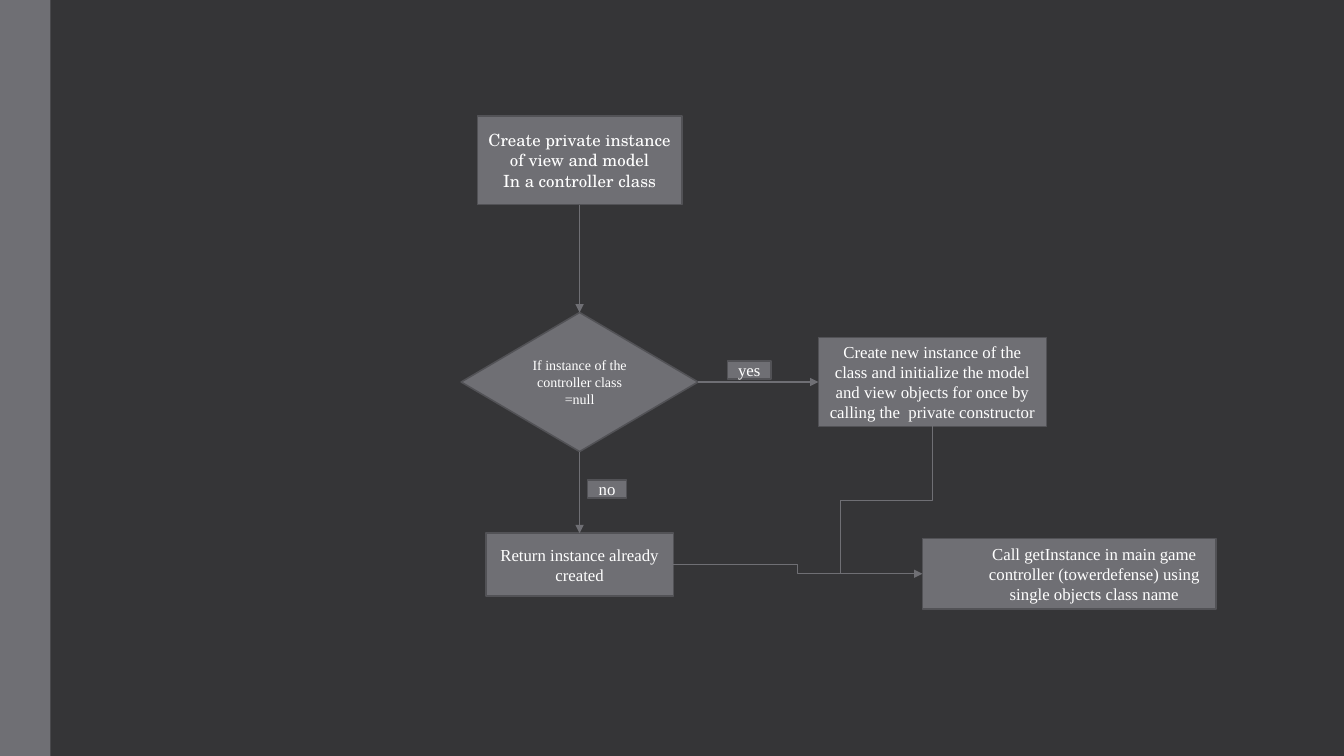
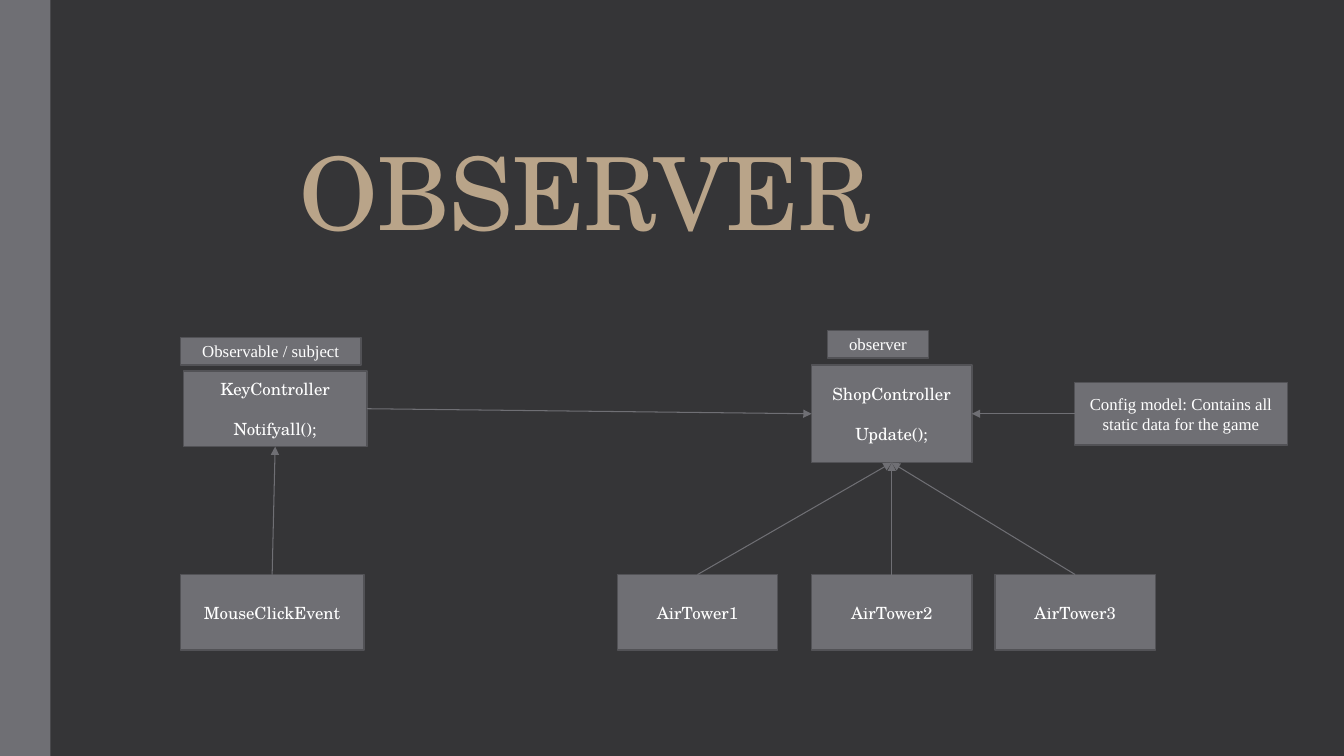
import dataclasses

import lxml.etree
import pptx
import pptx.dml.color
import pptx.enum.shapes
import pptx.enum.text
import pptx.oxml.ns
import pptx.presentation
import pptx.shapes.autoshape
import pptx.shapes.connector
import pptx.slide
import pptx.util

# Shared look
BACKDROP = pptx.dml.color.RGBColor(0x35, 0x35, 0x37)
STEEL = pptx.dml.color.RGBColor(0x6F, 0x6F, 0x74)
OUTLINE = pptx.dml.color.RGBColor(0x52, 0x52, 0x56)
WHITE = pptx.dml.color.RGBColor(0xFF, 0xFF, 0xFF)
SAND = pptx.dml.color.RGBColor(0xB9, 0xA4, 0x89)
SCHOLA = "TeX Gyre Schola"
TIMES = "Times New Roman"

# Grid of 40 columns and 30 rows
WIDTH = pptx.util.Inches(13.33)
HEIGHT = pptx.util.Inches(7.5)
COLUMN = WIDTH / 40
ROW = HEIGHT / 30
BAND_COLUMNS = 1.5

SHAPES = pptx.enum.shapes.MSO_SHAPE
LINES = pptx.enum.shapes.MSO_CONNECTOR
CENTER = pptx.enum.text.PP_ALIGN.CENTER

# Connection sites of a block
TOP, LEFT, BOTTOM, RIGHT = range(4)


@dataclasses.dataclass(frozen=True)
class Area:
    """A rectangle on the grid, given by its centre and size."""
    column: float
    row: float
    columns: float
    rows: float

    def box(self) -> tuple[int, int, int, int]:
        return (round((self.column - self.columns / 2) * COLUMN),
                round((self.row - self.rows / 2) * ROW),
                round(self.columns * COLUMN), round(self.rows * ROW))


@dataclasses.dataclass(frozen=True)
class Block:
    text: str
    area: Area
    font: str = TIMES
    size: float = 12
    preset: SHAPES = SHAPES.RECTANGLE
    paragraph_gap: float = 0
    indent: float = 0


@dataclasses.dataclass(frozen=True)
class Arrow:
    start: str
    start_site: int
    end: str
    end_site: int
    route: LINES = LINES.STRAIGHT


def style_paragraph(paragraph, font: str, size: float,
                    color: pptx.dml.color.RGBColor) -> None:
    paragraph.alignment = CENTER
    for run in paragraph.runs:
        run.font.name = font
        run.font.size = pptx.util.Pt(size)
        run.font.color.rgb = color


def draw_block(slide: pptx.slide.Slide,
               block: Block) -> pptx.shapes.autoshape.Shape:
    drawn = slide.shapes.add_shape(block.preset, *block.area.box())
    drawn.shadow.inherit = False
    drawn.fill.solid()
    drawn.fill.fore_color.rgb = STEEL
    drawn.line.color.rgb = OUTLINE
    drawn.line.width = pptx.util.Pt(1.1)
    frame = drawn.text_frame
    frame.text = block.text
    frame.word_wrap = True
    frame.vertical_anchor = pptx.enum.text.MSO_ANCHOR.MIDDLE
    frame.margin_left += pptx.util.Inches(block.indent)
    for position, paragraph in enumerate(frame.paragraphs):
        style_paragraph(paragraph, block.font, block.size, WHITE)
        if position:
            paragraph.space_before = pptx.util.Pt(block.paragraph_gap)
    return drawn


def style_line(line: pptx.shapes.connector.Connector, arrowhead: bool) -> None:
    line.line.color.rgb = STEEL
    line.line.width = pptx.util.Pt(0.75)
    properties = line.element.spPr
    if arrowhead:
        stroke = properties.find(pptx.oxml.ns.qn("a:ln"))
        lxml.etree.SubElement(stroke, pptx.oxml.ns.qn("a:tailEnd"), type="triangle")
    lxml.etree.SubElement(properties, pptx.oxml.ns.qn("a:effectLst"))


def draw_diagram(slide: pptx.slide.Slide, blocks: dict[str, Block],
                 arrows: list[Arrow]) -> None:
    drawn = {key: draw_block(slide, block) for key, block in blocks.items()}
    for arrow in arrows:
        line = slide.shapes.add_connector(arrow.route, 0, 0, 0, 0)
        line.begin_connect(drawn[arrow.start], arrow.start_site)
        line.end_connect(drawn[arrow.end], arrow.end_site)
        style_line(line, arrowhead=True)


def draw_drop(slide: pptx.slide.Slide, start: Area, end_column: float,
              end_row: float) -> None:
    """Step down and left from the bottom of a block: an elbow turned by 90 degrees."""
    top = (start.row + start.rows / 2) * ROW
    drop = end_row * ROW - top
    shift = (start.column - end_column) * COLUMN
    middle_x = (start.column + end_column) / 2 * COLUMN
    middle_y = top + drop / 2
    line = slide.shapes.add_connector(LINES.ELBOW, 0, 0, 0, 0)
    line.left, line.top = round(middle_x - drop / 2), round(middle_y - shift / 2)
    line.width, line.height = round(drop), round(shift)
    line.element.spPr.find(pptx.oxml.ns.qn("a:xfrm")).set("rot", "5400000")
    style_line(line, arrowhead=False)


def prepare_master(deck: pptx.presentation.Presentation,
                   slide: pptx.slide.Slide) -> None:
    """Give the master its background and side band."""
    master = deck.slide_master
    master.background.fill.solid()
    master.background.fill.fore_color.rgb = BACKDROP
    band = slide.shapes.add_shape(SHAPES.RECTANGLE, 0, 0,
                                  round(BAND_COLUMNS * COLUMN), HEIGHT)
    band.shadow.inherit = False
    band.fill.solid()
    band.fill.fore_color.rgb = STEEL
    band.line.fill.background()
    master.shapes.element.insert(2, band.element)


def set_title(slide: pptx.slide.Slide, text: str, area: Area) -> None:
    title = slide.shapes.title
    title.left, title.top, title.width, title.height = area.box()
    frame = title.text_frame
    frame.text = text
    frame.word_wrap = True
    frame.auto_size = pptx.enum.text.MSO_AUTO_SIZE.NONE
    frame.vertical_anchor = pptx.enum.text.MSO_ANCHOR.BOTTOM
    heading = frame.paragraphs[0]
    heading.line_spacing = 0.85
    style_paragraph(heading, SCHOLA, 72, SAND)
    for properties in title.element.iter(pptx.oxml.ns.qn("a:rPr")):
        properties.set("spc", "-50")


# Slide 1: singleton flow
MAIN_COLUMN = 17.25
CHECK_ROW = 15.16
SINGLETON_BLOCKS = {
    "private": Block("Create private instance of view and model\nIn a controller class",
                     Area(MAIN_COLUMN, 6.36, 6.09, 3.52), font=SCHOLA),
    "check": Block("If instance of the controller class =null",
                   Area(MAIN_COLUMN, CHECK_ROW, 7.05, 5.52), size=10,
                   preset=SHAPES.FLOWCHART_DECISION),
    "new": Block("Create new instance of the class and initialize the model and view "
                 "objects for once by calling the  private constructor",
                 Area(27.75, CHECK_ROW, 6.78, 3.52),
                 preset=SHAPES.FLOWCHART_PROCESS),
    "yes": Block("yes", Area(22.3, 14.68, 1.29, 0.72)),
    "return": Block("Return instance already created",
                    Area(MAIN_COLUMN, 22.4, 5.58, 2.48),
                    preset=SHAPES.FLOWCHART_PROCESS),
    "no": Block("no", Area(18.07, 19.4, 1.17, 0.72)),
    "call": Block("Call getInstance in main game controller (towerdefense) using "
                  "single objects class name",
                  Area(31.82, 22.77, 8.73, 2.8), indent=0.5),
}
SINGLETON_ARROWS = [
    Arrow("private", BOTTOM, "check", TOP),
    Arrow("check", RIGHT, "new", LEFT),
    Arrow("check", BOTTOM, "return", TOP),
    Arrow("return", RIGHT, "call", LEFT, LINES.ELBOW),
]

# Slide 2: observer pattern
SHOP_COLUMN, SHOP_ROW = 26.54, 16.42
EVENT_ROW = 24.3
TOWER_COLUMNS = {"AirTower1": 20.76, "AirTower2": SHOP_COLUMN, "AirTower3": 32}
OBSERVER_BLOCKS = {
    "key": Block("KeyController\nNotifyall();", Area(8.19, 16.22, 5.46, 3),
                 font=SCHOLA, paragraph_gap=14.4),
    "shop": Block("ShopController\nUpdate();", Area(SHOP_COLUMN, SHOP_ROW, 4.77, 3.88),
                  font=SCHOLA, paragraph_gap=14.4),
    "mouse": Block("MouseClickEvent", Area(8.1, EVENT_ROW, 5.46, 3), font=SCHOLA),
    "observer": Block("observer", Area(26.13, 13.66, 3, 1.08)),
    "subject": Block("Observable / subject", Area(8.06, 13.94, 5.37, 1.08)),
    "config": Block("Config model: Contains all static data for the game",
                    Area(35.15, SHOP_ROW, 6.33, 2.48)),
} | {
    tower: Block(tower, Area(column, EVENT_ROW, 4.77, 3), font=SCHOLA)
    for tower, column in TOWER_COLUMNS.items()
}
OBSERVER_ARROWS = [
    Arrow("key", RIGHT, "shop", LEFT),
    Arrow("mouse", TOP, "key", BOTTOM),
    Arrow("config", LEFT, "shop", RIGHT),
] + [Arrow(tower, TOP, "shop", BOTTOM) for tower in TOWER_COLUMNS]


def main() -> None:
    deck = pptx.Presentation()
    deck.slide_width, deck.slide_height = WIDTH, HEIGHT
    title_layout, blank_layout = deck.slide_layouts[0], deck.slide_layouts[6]

    singleton = deck.slides.add_slide(blank_layout)
    prepare_master(deck, singleton)
    draw_diagram(singleton, SINGLETON_BLOCKS, SINGLETON_ARROWS)
    draw_drop(singleton, SINGLETON_BLOCKS["new"].area, 25.02,
              SINGLETON_BLOCKS["call"].area.row)

    observer = deck.slides.add_slide(title_layout)
    subtitle = observer.placeholders[1].element
    subtitle.getparent().remove(subtitle)
    set_title(observer, "OBSERVER", Area(17.42, 5.8, 28.47, 8.72))
    draw_diagram(observer, OBSERVER_BLOCKS, OBSERVER_ARROWS)

    deck.save("out.pptx")


main()
